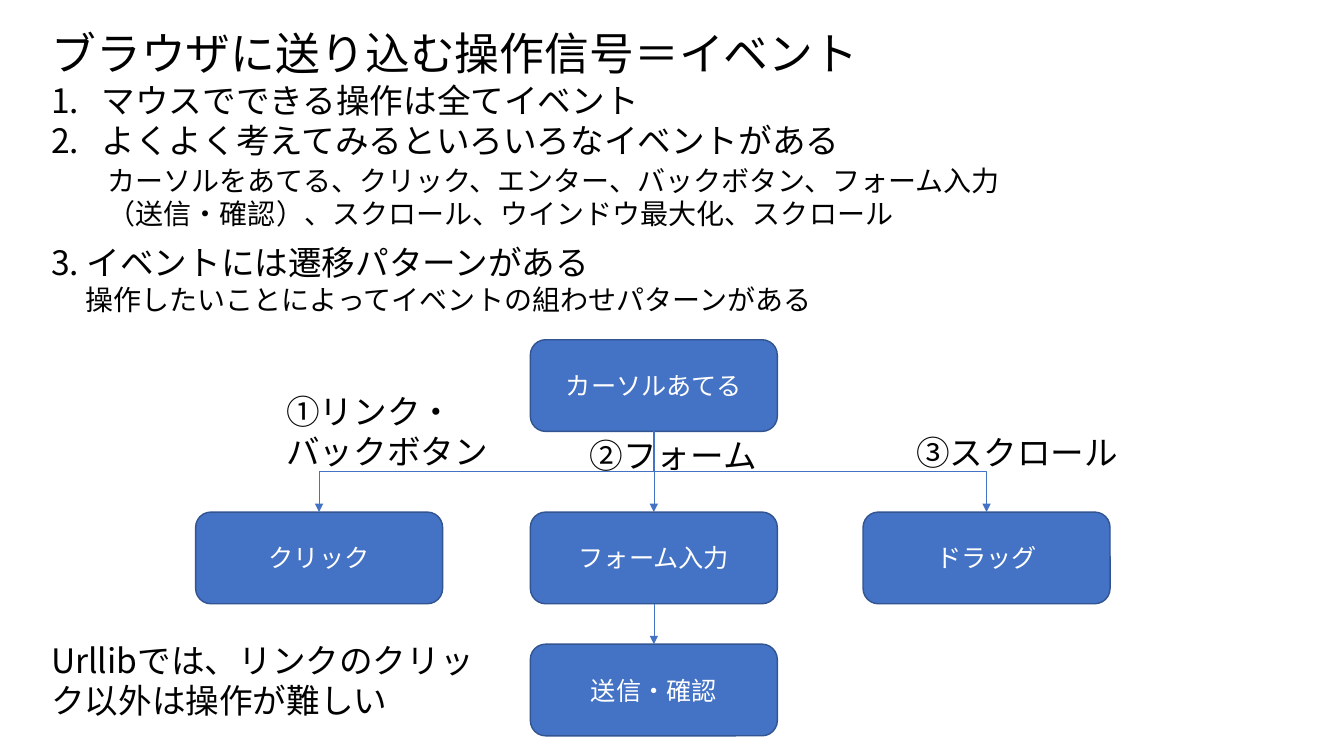
from dataclasses import dataclass
from typing import Any, Optional

from pptx import Presentation
from pptx.dml.color import RGBColor as RGB
from pptx.enum.shapes import MSO_CONNECTOR as Conn, MSO_SHAPE as Shape
from pptx.enum.text import MSO_ANCHOR as Anchor, MSO_AUTO_SIZE as Auto, PP_ALIGN as Align
from pptx.oxml.ns import qn
from pptx.oxml.xmlchemy import OxmlElement as Element
from pptx.util import Inches, Pt


@dataclass(frozen=True)
class Theme:
    font: str = "Noto Sans CJK JP"
    ink: RGB = RGB(0x00, 0x00, 0x00)
    paper: RGB = RGB(0xFF, 0xFF, 0xFF)
    accent: RGB = RGB(0x44, 0x72, 0xC4)
    edge: RGB = RGB(0x32, 0x54, 0x91)
    title: int = 32
    body: int = 24
    detail: int = 20
    step: int = 18


@dataclass(frozen=True)
class Line:
    text: str
    size: int
    margin: float = 0
    numbered: bool = False


@dataclass(frozen=True)
class Note:
    left: float
    top: float
    width: float
    height: float
    lines: tuple[Line, ...]
    wrap: bool = False


@dataclass(frozen=True)
class Step:
    text: str
    column: int
    row: int
    parent: Optional[int] = None


THEME = Theme()
COLUMNS = (1.94, 5.26, 8.56)
ROWS = (3.37, 5.08, 6.39)
STEP_W, STEP_H = 2.45, 0.91

TITLE = Note(0.41, 0.21, 8.28, 0.64, (Line("ブラウザに送り込む操作信号＝イベント", THEME.title),))
POINTS = (
    Note(0.41, 0.74, 8.11, 0.91, (
        Line("マウスでできる操作は全てイベント", THEME.body, 0.5, True),
        Line("よくよく考えてみるといろいろなイベントがある", THEME.body, 0.5, True),
    )),
    Note(0.97, 1.57, 9.31, 0.77, (
        Line("カーソルをあてる、クリック、エンター、バックボタン、フォーム入力"
             "（送信・確認）、スクロール、ウインドウ最大化、スクロール", THEME.detail),
    ), True),
    Note(0.41, 2.35, 7.87, 0.84, (
        Line("3. イベントには遷移パターンがある", THEME.body),
        Line("操作したいことによってイベントの組わせパターンがある", THEME.detail, 0.34),
    )),
)
STEPS = (
    Step("カーソルあてる", 1, 0),
    Step("クリック", 0, 1, 0),
    Step("フォーム入力", 1, 1, 0),
    Step("ドラッグ", 2, 1, 0),
    Step("送信・確認", 1, 2, 2),
)
LABELS = (
    Note(2.74, 3.83, 2.45, 0.91, (Line("①リンク・バックボタン", THEME.body),), True),
    Note(8.99, 4.24, 2.22, 0.5, (Line("③スクロール", THEME.body),)),
    Note(5.75, 4.27, 1.88, 0.5, (Line("②フォーム", THEME.body),)),
    Note(0.41, 6.3, 4.53, 0.91, (Line("Urllibでは、リンクのクリック以外は操作が難しい", THEME.body),), True),
)


def apply(target: Any, values: dict[str, Any]) -> None:
    for name, value in values.items():
        setattr(target, name, value)


def write(p: Any, text: str, size: int, color: RGB) -> None:
    r = p.add_run()
    r.text = text
    apply(r.font, {"name": THEME.font, "size": Pt(size), "bold": False})
    r.font.color.rgb = color
    ea = Element("a:ea")
    ea.set("typeface", THEME.font)
    r.font._element.find(qn("a:latin")).addnext(ea)


def fill_note(sp: Any, note: Note) -> None:
    apply(sp, {name: Inches(getattr(note, name)) for name in ("left", "top", "width", "height")})
    tf = sp.text_frame
    apply(tf, {
        "word_wrap": note.wrap,
        "auto_size": Auto.SHAPE_TO_FIT_TEXT,
        "vertical_anchor": Anchor.TOP,
    })
    for i, line in enumerate(note.lines):
        p = tf.add_paragraph() if i else tf.paragraphs[0]
        p.alignment = Align.LEFT
        if line.margin:
            ppr = p._p.get_or_add_pPr()
            ppr.set("marL", str(Inches(line.margin)))
            ppr.set("indent", str(-Inches(line.margin) if line.numbered else 0))
        if line.numbered:
            number = Element("a:buAutoNum")
            number.set("type", "arabicPeriod")
            ppr.append(number)
        write(p, line.text, line.size, THEME.ink)


def add_note(s: Any, note: Note) -> None:
    fill_note(s.shapes.add_textbox(0, 0, 0, 0), note)


def add_step(s: Any, step: Step) -> None:
    sp = s.shapes.add_shape(
        Shape.ROUNDED_RECTANGLE, Inches(COLUMNS[step.column]), Inches(ROWS[step.row]),
        Inches(STEP_W), Inches(STEP_H))
    sp.shadow.inherit = False
    sp.fill.solid()
    sp.fill.fore_color.rgb = THEME.accent
    sp.line.color.rgb = THEME.edge
    sp.line.width = Pt(1)
    tf = sp.text_frame
    apply(tf, {"word_wrap": True, "vertical_anchor": Anchor.MIDDLE})
    p = tf.paragraphs[0]
    p.alignment = Align.CENTER
    write(p, step.text, THEME.step, THEME.paper)


def add_arrow(s: Any, start: Step, end: Step) -> None:
    x1, x2 = (COLUMNS[step.column] + STEP_W / 2 for step in (start, end))
    y1, y2 = ROWS[start.row] + STEP_H, ROWS[end.row]
    run, drop = abs(x2 - x1), y2 - y1
    left, top = (x1 + x2 - drop) / 2, (y1 + y2 - run) / 2
    c = s.shapes.add_connector(
        Conn.ELBOW, Inches(left), Inches(top), Inches(left + drop), Inches(top + run))
    c.line.color.rgb = THEME.accent
    c.line.width = Pt(0.5)
    xfrm = c._element.spPr.find(qn("a:xfrm"))
    rightward = x2 > x1
    xfrm.set("rot", str((270 if rightward else 90) * 60000))
    if rightward:
        xfrm.set("flipH", "1")
    head = Element("a:tailEnd")
    head.set("type", "triangle")
    c.line._get_or_add_ln().append(head)
    c._element.spPr.append(Element("a:effectLst"))


def main() -> None:
    prs = Presentation()
    apply(prs, {"slide_width": Inches(13.33), "slide_height": Inches(7.5)})
    s = prs.slides.add_slide(prs.slide_layouts[5])
    fill_note(s.shapes.title, TITLE)
    for note in POINTS:
        add_note(s, note)
    for step in STEPS:
        add_step(s, step)
    for step in STEPS:
        if step.parent is not None:
            add_arrow(s, STEPS[step.parent], step)
    for note in LABELS:
        add_note(s, note)
    prs.save("out.pptx")


if __name__ == "__main__":
    main()
